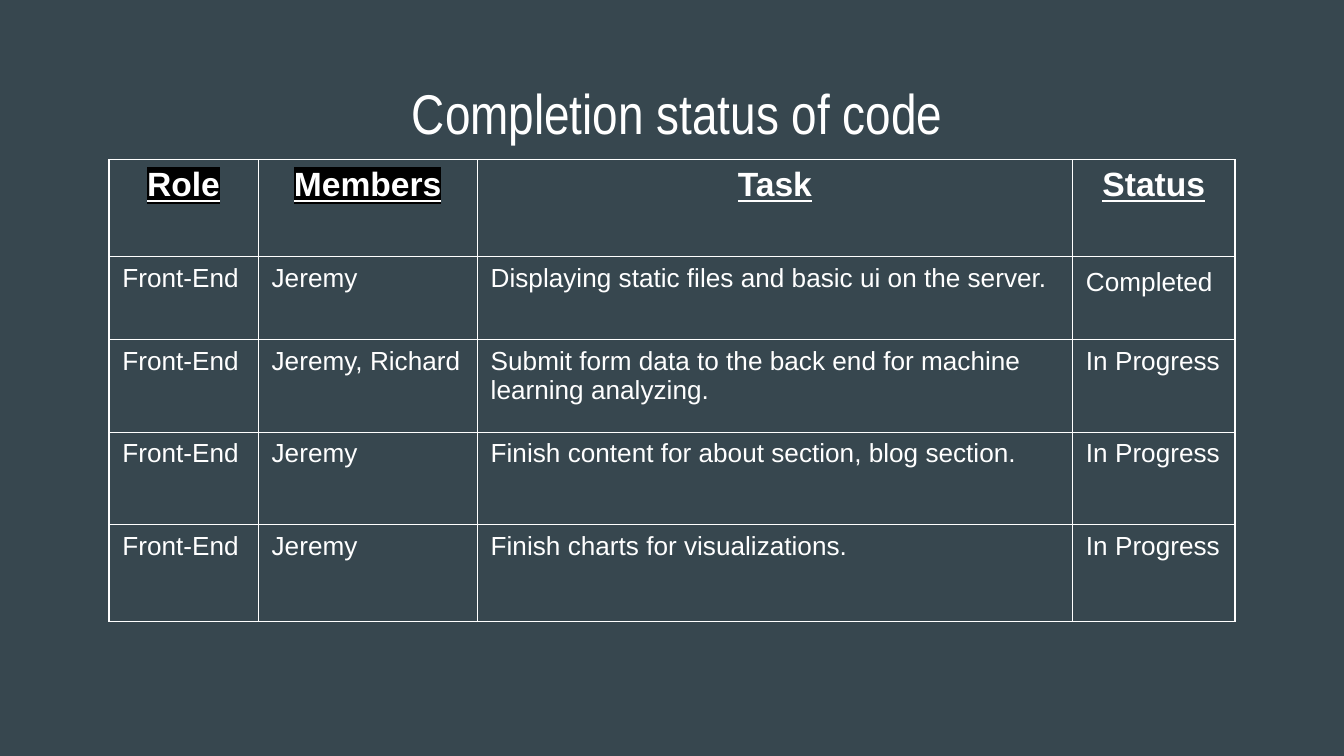
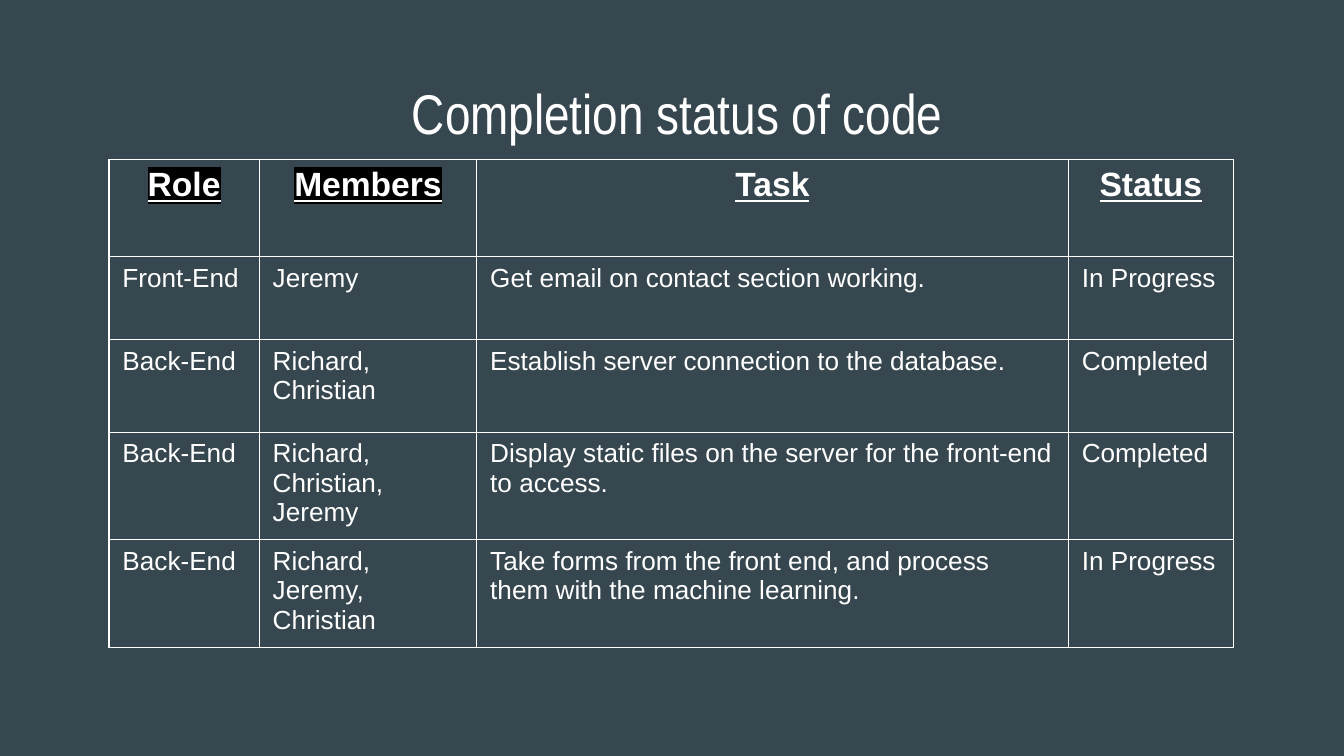
import lxml.etree
import pptx
import pptx.dml.color
import pptx.enum.text
import pptx.oxml.ns
import pptx.util
from dataclasses import dataclass

Cm = pptx.util.Cm
Pt = pptx.util.Pt
qn = pptx.oxml.ns.qn
CENTER = pptx.enum.text.PP_ALIGN.CENTER
LEFT = pptx.enum.text.PP_ALIGN.LEFT


@dataclass(frozen=True)
class Theme:
    background: str = "37474F"
    text: str = "FFFFFF"
    highlight: str = "000000"
    title_font: str = "Arial Narrow"
    body_font: str = "Arial"
    title_size: int = 30
    heading_size: int = 18
    body_size: int = 14
    border: float = 0.75
    inset: float = 0.25


HEADINGS = ["Role", "Members", "Task", "Status"]
HIGHLIGHTED = {"Role", "Members"}
ROW_HEIGHTS = [1.83, 1.57, 1.75, 1.75, 1.83]


class StatusDeck:
    def __init__(self, theme):
        self.theme = theme
        self.deck = pptx.Presentation()
        self.deck.slide_width = Cm(25.4)
        self.deck.slide_height = Cm(14.29)
        self.slide = None

    def color(self, value):
        return pptx.dml.color.RGBColor.from_string(value)

    def add_slide(self):
        self.slide = self.deck.slides.add_slide(self.deck.slide_layouts[6])
        fill = self.slide.background.fill
        fill.solid()
        fill.fore_color.rgb = self.color(self.theme.background)

    def set_text(self, frame, text, font, size, alignment=LEFT):
        inset = Cm(self.theme.inset)
        frame.margin_left = frame.margin_right = inset
        frame.margin_top = frame.margin_bottom = inset
        frame.word_wrap = True
        paragraph = frame.paragraphs[0]
        paragraph.add_run().text = text
        paragraph.alignment = alignment
        paragraph.font.name = font
        paragraph.font.size = Pt(size)
        paragraph.font.color.rgb = self.color(self.theme.text)
        return paragraph

    def title(self, text):
        box = self.slide.shapes.add_textbox(Cm(2.29), Cm(1.24), Cm(21.03), Cm(1.6))
        self.set_text(box.text_frame, text, self.theme.title_font,
                      self.theme.title_size, CENTER)

    def outline(self, cell):
        cell.fill.background()
        properties = cell._tc.get_or_add_tcPr()
        for index, side in enumerate(("lnL", "lnR", "lnT", "lnB")):
            line = lxml.etree.Element(qn(f"a:{side}"), w=str(Pt(self.theme.border)))
            fill = lxml.etree.SubElement(line, qn("a:solidFill"))
            lxml.etree.SubElement(fill, qn("a:srgbClr"), val=self.theme.text)
            properties.insert(index, line)

    def heading(self, cell, text):
        paragraph = self.set_text(cell.text_frame, text, self.theme.body_font,
                                  self.theme.heading_size, CENTER)
        paragraph.font.bold = True
        paragraph.font.underline = True
        if text in HIGHLIGHTED:
            run_properties = paragraph.runs[0]._r.get_or_add_rPr()
            mark = lxml.etree.SubElement(run_properties, qn("a:highlight"))
            lxml.etree.SubElement(mark, qn("a:srgbClr"), val=self.theme.highlight)

    def status_table(self, column_widths, tasks):
        table = self.slide.shapes.add_table(
            len(tasks) + 1, len(HEADINGS), Cm(2.06), Cm(3.02),
            Cm(sum(column_widths)), Cm(sum(ROW_HEIGHTS))).table
        table.first_row = False
        table.horz_banding = False
        for column, width in zip(table.columns, column_widths):
            column.width = Cm(width)
        for row, height in zip(table.rows, ROW_HEIGHTS):
            row.height = Cm(height)
        for cell in table.iter_cells():
            self.outline(cell)
        for column, text in enumerate(HEADINGS):
            self.heading(table.cell(0, column), text)
        for row, task in enumerate(tasks, 1):
            for column, text in enumerate(task):
                self.set_text(table.cell(row, column).text_frame, text,
                              self.theme.body_font, self.theme.body_size)
        return table


def main():
    status = StatusDeck(Theme())

    status.add_slide()
    status.title("Completion status of code")
    front_end = status.status_table([2.82, 4.14, 11.25, 3.07], [
        ("Front-End", "Jeremy",
         "Displaying static files and basic ui on the server.", "Completed"),
        ("Front-End", "Jeremy, Richard",
         "Submit form data to the back end for machine learning analyzing.",
         "In Progress"),
        ("Front-End", "Jeremy",
         "Finish content for about section, blog section.", "In Progress"),
        ("Front-End", "Jeremy", "Finish charts for visualizations.", "In Progress"),
    ])
    first_status = front_end.cell(1, 3).text_frame.paragraphs[0]
    first_status.line_spacing = 1.15
    first_status.space_after = Pt(16)

    status.add_slide()
    status.title("Completion status of code")
    status.status_table([2.84, 4.11, 11.18, 3.12], [
        ("Front-End", "Jeremy",
         "Get email on contact section working.", "In Progress"),
        ("Back-End", "Richard, Christian",
         "Establish server connection to the database.", "Completed"),
        ("Back-End", "Richard, Christian, Jeremy",
         "Display static files on the server for the front-end to access.",
         "Completed"),
        ("Back-End", "Richard, Jeremy, Christian",
         "Take forms from the front end, and process them with the machine learning.",
         "In Progress"),
    ])

    status.deck.save("out.pptx")


if __name__ == "__main__":
    main()
